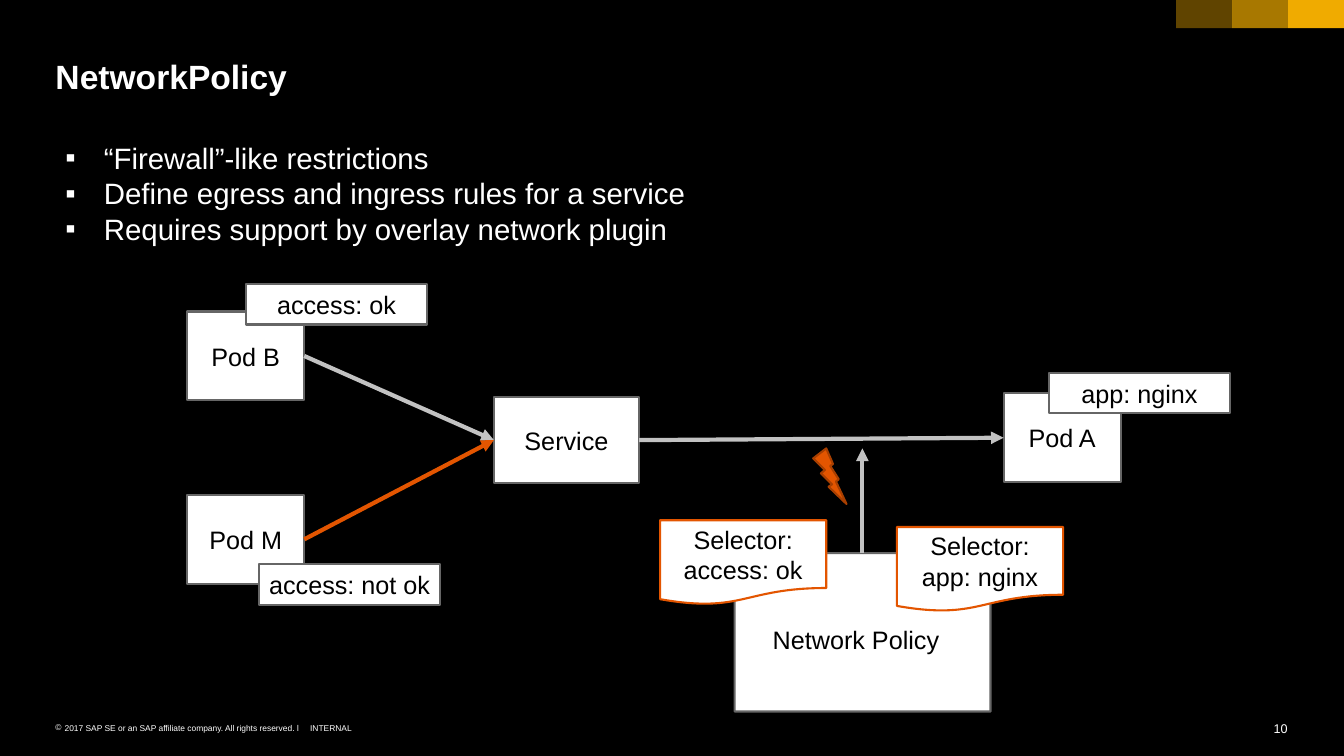
from dataclasses import dataclass
from typing import Any

import pptx
import pptx.dml.color
import pptx.enum.shapes
import pptx.enum.text
import pptx.oxml.ns
import pptx.util
from lxml import etree

Cm = pptx.util.Cm
Pt = pptx.util.Pt
qn = pptx.oxml.ns.qn
Kind = pptx.enum.shapes.MSO_SHAPE
Align = pptx.enum.text.PP_ALIGN
Anchor = pptx.enum.text.MSO_ANCHOR

FONT = "Arial"
BLACK, WHITE = "000000", "FFFFFF"
BORDER, ARROW = "666666", "C2C2C2"
GOLD, ORANGE, RUST = "F0AB00", "E35500", "A83F00"


@dataclass
class Box:
    text: str
    left: float
    top: float
    width: float
    height: float
    kind: Any = Kind.RECTANGLE
    fill: str = WHITE
    line: str = BORDER


def color(value: str) -> pptx.dml.color.RGBColor:
    return pptx.dml.color.RGBColor.from_string(value)


def write(frame, text: str, *, size: float, ink: str = WHITE, bold: bool = False,
          align=Align.LEFT, anchor=Anchor.TOP, margin: tuple = (0, 0),
          wrap: bool = True, bullet: str = "", indent: float = 0) -> None:
    """Fill a text frame, one paragraph per line of text."""
    frame.word_wrap = wrap
    frame.vertical_anchor = anchor
    frame.margin_left = frame.margin_right = Cm(margin[0])
    frame.margin_top = frame.margin_bottom = Cm(margin[1])
    for index, line in enumerate(text.split("\n")):
        paragraph = frame.add_paragraph() if index else frame.paragraphs[0]
        paragraph.alignment = align
        if bullet:
            properties = paragraph._p.get_or_add_pPr()
            properties.set("marL", str(Cm(indent)))
            properties.set("indent", str(-Cm(indent)))
            etree.SubElement(properties, qn("a:buFont")).set("typeface", FONT)
            etree.SubElement(properties, qn("a:buChar")).set("char", bullet)
        run = paragraph.add_run()
        run.text = line
        run.font.name, run.font.size, run.font.bold = FONT, Pt(size), bold
        run.font.color.rgb = color(ink)


def add_label(slide, text: str, left: float, top: float, width: float,
              height: float, **style) -> None:
    label = slide.shapes.add_textbox(Cm(left), Cm(top), Cm(width), Cm(height))
    write(label.text_frame, text, **style)


def add_box(slide, box: Box):
    shape = slide.shapes.add_shape(
        box.kind, Cm(box.left), Cm(box.top), Cm(box.width), Cm(box.height))
    shape.shadow.inherit = False
    shape.fill.solid()
    shape.fill.fore_color.rgb = color(box.fill)
    if box.line:
        shape.line.color.rgb = color(box.line)
        shape.line.width = Pt(1.5)
    else:
        shape.line.fill.background()
    if box.text:
        write(shape.text_frame, box.text, size=18, ink=BLACK, align=Align.CENTER,
              anchor=Anchor.MIDDLE, margin=(0.2, 0.2))
    return shape


def add_arrow(slide, start: tuple, end: tuple, ink: str = ARROW):
    arrow = slide.shapes.add_connector(
        pptx.enum.shapes.MSO_CONNECTOR.STRAIGHT, *map(Cm, start + end))
    arrow.line.color.rgb = color(ink)
    arrow.line.width = Pt(3)
    etree.SubElement(arrow.line._get_or_add_ln(), qn("a:tailEnd")).set("type", "triangle")
    etree.SubElement(arrow._element.spPr, qn("a:effectLst"))
    return arrow


def link(slide, source, target, ink: str = ARROW) -> None:
    """Arrow from the right side of one box to the left side of another."""
    arrow = add_arrow(slide, (0, 0), (0, 0), ink)
    arrow.begin_connect(source, 3)
    arrow.end_connect(target, 1)


def add_tag(slide, text: str, left: float, top: float) -> None:
    add_box(slide, Box(text, left, top, 4.57, 1.02)).text_frame.word_wrap = False


def add_pod(slide, text: str, left: float, top: float):
    return add_box(slide, Box(text, left, top, 2.95, 2.24))


def add_selector(slide, text: str, left: float, top: float) -> None:
    add_box(slide, Box(text, left, top, 4.19, 2.13,
                       Kind.FLOWCHART_DOCUMENT, line=ORANGE))


def main() -> None:
    deck = pptx.Presentation()
    deck.slide_width, deck.slide_height = Cm(33.88), Cm(19.05)
    slide = deck.slides.add_slide(deck.slide_layouts[6])
    slide.background.fill.solid()
    slide.background.fill.fore_color.rgb = color(BLACK)

    # Corner bars, fading to the left
    bar_width = 1.41
    for step, opacity in enumerate((100, 70, 40), start=1):
        bar = add_box(slide, Box("", 33.88 - step * bar_width, 0, bar_width, 0.71,
                                 fill=GOLD, line=""))
        if opacity < 100:
            tint = bar._element.spPr.find(qn("a:solidFill"))[0]
            etree.SubElement(tint, qn("a:alpha")).set("val", str(opacity * 1000))

    # Footer
    add_label(slide, "2017 SAP SE or an SAP affiliate company. All rights reserved. ǀ",
              1.4, 18.21, 6.3, 0.25, size=6, wrap=False, bullet="©", indent=0.23)
    add_label(slide, "INTERNAL", 7.82, 18.21, 1.07, 0.25, size=6, wrap=False)
    add_label(slide, "10", 32.08, 18.16, 0.38, 0.38, size=9, wrap=False, align=Align.RIGHT)

    # Title and key points
    add_label(slide, "NetworkPolicy", 1.4, 1.4, 31.06, 1.02, size=24, bold=True,
              anchor=Anchor.BOTTOM)
    add_label(slide, "“Firewall”-like restrictions\n"
                     "Define egress and ingress rules for a service\n"
                     "Requires support by overlay network plugin",
              1.4, 3.4, 30.33, 2.95, size=21, margin=(0.25, 0.13), bullet="▪", indent=0.97)

    # Service, pods and traffic
    service = add_box(slide, Box("Service", 12.45, 10.01, 3.66, 2.16))
    pod_a = add_pod(slide, "Pod A", 25.3, 9.91)
    pod_b = add_pod(slide, "Pod B", 4.72, 7.85)
    pod_m = add_pod(slide, "Pod M", 4.72, 12.47)
    link(slide, pod_b, service)
    link(slide, service, pod_a)
    link(slide, pod_m, service, ORANGE)

    # Policy acting on the traffic
    add_box(slide, Box("Network Policy", 18.52, 13.94, 6.45, 3.99,
                       Kind.SNIP_1_RECTANGLE))
    add_arrow(slide, (21.74, 13.94), (21.74, 11.3))
    add_box(slide, Box("", 20.5, 11.3, 0.84, 1.4, Kind.LIGHTNING_BOLT, ORANGE, RUST))

    # Selectors and pod labels
    add_selector(slide, "Selector: app: nginx", 22.61, 13.28)
    add_selector(slide, "Selector: access: ok", 16.64, 13.11)
    add_tag(slide, "app: nginx", 26.44, 9.4)
    add_tag(slide, "access: ok", 6.2, 7.16)
    add_tag(slide, "access: not ok", 6.53, 14.22)

    deck.save("out.pptx")


if __name__ == "__main__":
    main()
